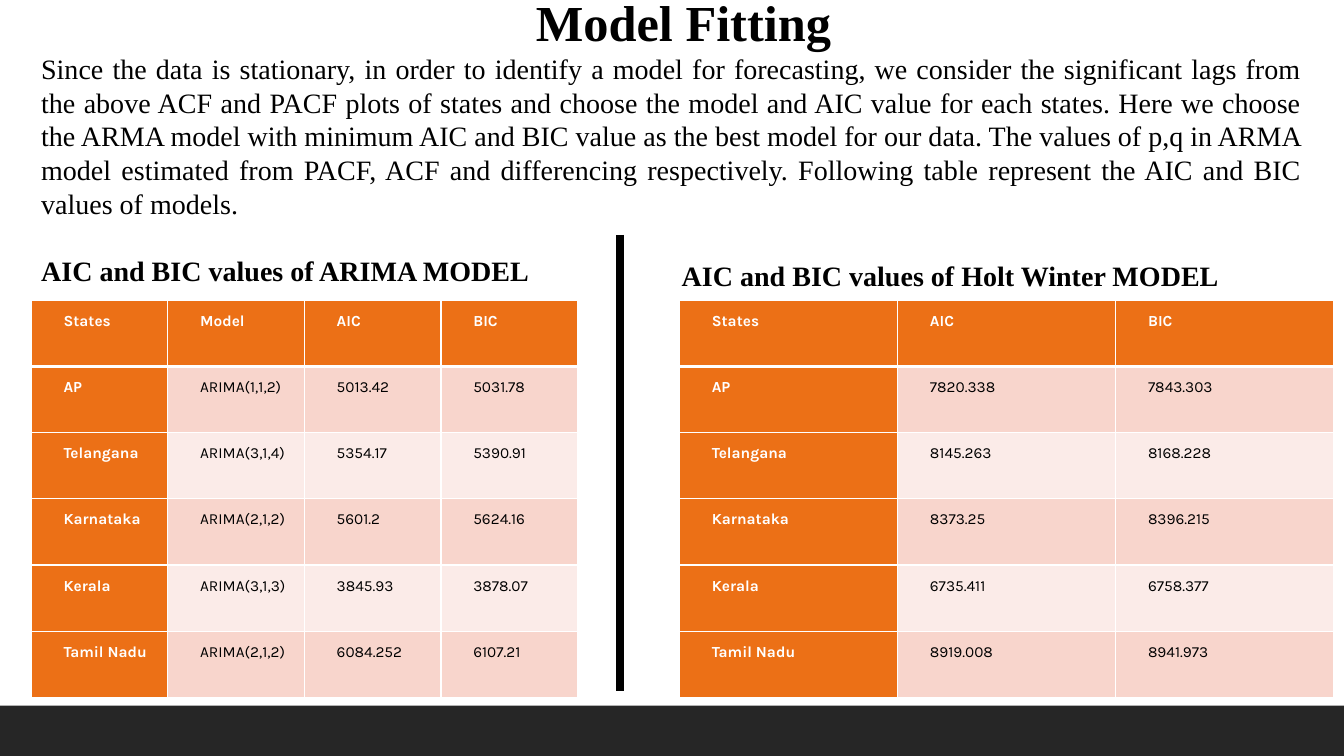
from pptx import Presentation
from pptx.util import Inches, Pt
from pptx.dml.color import RGBColor
from pptx.enum.shapes import MSO_CONNECTOR, MSO_SHAPE
from pptx.enum.text import MSO_ANCHOR, PP_ALIGN
from pptx.oxml.ns import qn
from lxml.etree import SubElement

TITLE = "Model Fitting"
BODY = (
    "Since the data is stationary, in order to identify a model for forecasting, "
    "we consider the significant lags from the above ACF and PACF plots of states "
    "and choose the model and AIC value for each states. Here we choose the ARMA "
    "model with minimum AIC and BIC value as the best model for our data. The values "
    "of p,q in ARMA model estimated from PACF, ACF and differencing respectively. "
    "Following table represent the AIC and BIC values of models."
)
ARIMA_HEADING = "AIC and BIC values of ARIMA MODEL"
HOLT_HEADING = "AIC and BIC values of Holt Winter MODEL"
ARIMA_ROWS = [
    ("States", "Model", "AIC", "BIC"),
    ("AP", "ARIMA(1,1,2)", "5013.42", "5031.78"),
    ("Telangana", "ARIMA(3,1,4)", "5354.17", "5390.91"),
    ("Karnataka", "ARIMA(2,1,2)", "5601.2", "5624.16"),
    ("Kerala", "ARIMA(3,1,3)", "3845.93", "3878.07"),
    ("Tamil Nadu", "ARIMA(2,1,2)", "6084.252", "6107.21"),
]
HOLT_ROWS = [
    ("States", "AIC", "BIC"),
    ("AP", "7820.338", "7843.303"),
    ("Telangana", "8145.263", "8168.228"),
    ("Karnataka", "8373.25", "8396.215"),
    ("Kerala", "6735.411", "6758.377"),
    ("Tamil Nadu", "8919.008", "8941.973"),
]

WIDTH, HEIGHT = 13.33, 7.5
FOOTER_H = 0.5
MARGIN = 0.31
TABLE_TOP, TABLE_H = 2.98, 3.94
ORANGE, BANDS = "EC7016", ("FBEBE8", "F8D5CC")
BLACK, WHITE, CHARCOAL = "000000", "FFFFFF", "262626"
SERIF, SANS = "Times New Roman", "Karla"


def rgb(value):
    return RGBColor.from_string(value)


def write(p, text, size=20, font=SERIF, color=BLACK, bold=False,
          align=PP_ALIGN.JUSTIFY, before=0, after=0, spacing=None,
          left=0, indent=0):
    """Fill a paragraph; left and indent are in inches, before and after in points."""
    pPr = p._p.get_or_add_pPr()
    pPr.set("marL", str(Inches(left)))
    pPr.set("indent", str(Inches(indent)))
    p.alignment = align
    p.space_before, p.space_after = Pt(before), Pt(after)
    if spacing:
        p.line_spacing = spacing
    r = p.add_run()
    r.text = text
    r.font.size, r.font.name, r.font.bold = Pt(size), font, bold
    r.font.color.rgb = rgb(color)


def add_text_frame(slide, left, top, width, height):
    box = slide.shapes.add_textbox(*map(Inches, (left, top, width, height)))
    tf = box.text_frame
    tf.word_wrap = True
    tf.vertical_anchor = MSO_ANCHOR.MIDDLE
    return tf


def set_borders(cell, top, bottom):
    """Draw white borders; top and bottom are widths in points."""
    tcPr = cell._tc.get_or_add_tcPr()
    for i, (tag, width) in enumerate(
            (("a:lnL", 1), ("a:lnR", 1), ("a:lnT", top), ("a:lnB", bottom))):
        ln = tcPr.makeelement(qn(tag), {"w": str(Pt(width))})
        SubElement(SubElement(ln, qn("a:solidFill")), qn("a:srgbClr"), val=WHITE)
        tcPr.insert(i, ln)


def add_values_table(slide, rows, left, width):
    n_rows, n_cols = len(rows), len(rows[0])
    frame = slide.shapes.add_table(
        n_rows, n_cols, *map(Inches, (left, TABLE_TOP, width, TABLE_H)))
    table = frame.table
    for col in table.columns:
        col.width = Inches(width / n_cols)
    for i, row in enumerate(rows):
        table.rows[i].height = Inches(TABLE_H / n_rows)
        for j, text in enumerate(row):
            cell = table.cell(i, j)
            label = i == 0 or j == 0
            cell.margin_left = cell.margin_right = Inches(0.08)
            cell.margin_top, cell.margin_bottom = Inches(0.03), 0
            cell.fill.solid()
            cell.fill.fore_color.rgb = rgb(ORANGE if label else BANDS[i % 2])
            set_borders(cell, top=3 if i == 1 else 1, bottom=3 if i == 0 else 1)
            write(cell.text_frame.paragraphs[0], text, size=11, font=SANS,
                  color=WHITE if label else BLACK, bold=label,
                  spacing=1.5, after=0.1, left=0.25, indent=-0.01)


def main():
    prs = Presentation()
    prs.slide_width, prs.slide_height = Inches(WIDTH), Inches(HEIGHT)
    slide = prs.slides.add_slide(prs.slide_layouts[6])

    footer = slide.shapes.add_shape(
        MSO_SHAPE.RECTANGLE, 0, Inches(HEIGHT - FOOTER_H), Inches(WIDTH), Inches(FOOTER_H))
    footer.shadow.inherit = False
    footer.fill.solid()
    footer.fill.fore_color.rgb = rgb(CHARCOAL)
    footer.line.fill.background()

    add_values_table(slide, ARIMA_ROWS, MARGIN, 5.42)
    tf = add_text_frame(slide, MARGIN, -0.15, 12.7, 3.06)
    write(tf.paragraphs[0], TITLE, size=36, bold=True, align=PP_ALIGN.CENTER, indent=0.24)
    write(tf.add_paragraph(), BODY)
    write(tf.add_paragraph(), ARIMA_HEADING, bold=True, before=24)

    add_values_table(slide, HOLT_ROWS, 6.74, 6.49)
    tf = add_text_frame(slide, 6.42, 2.51, 6.01, 0.44)
    write(tf.paragraphs[0], HOLT_HEADING, bold=True, align=PP_ALIGN.CENTER)

    divider = slide.shapes.add_connector(
        MSO_CONNECTOR.STRAIGHT, *map(Inches, (6.15, 2.33, 6.15, 6.86)))
    divider.line.color.rgb = rgb(BLACK)
    divider.line.width = Pt(6)
    SubElement(divider._element.spPr, qn("a:effectLst"))

    prs.save("out.pptx")


if __name__ == "__main__":
    main()
